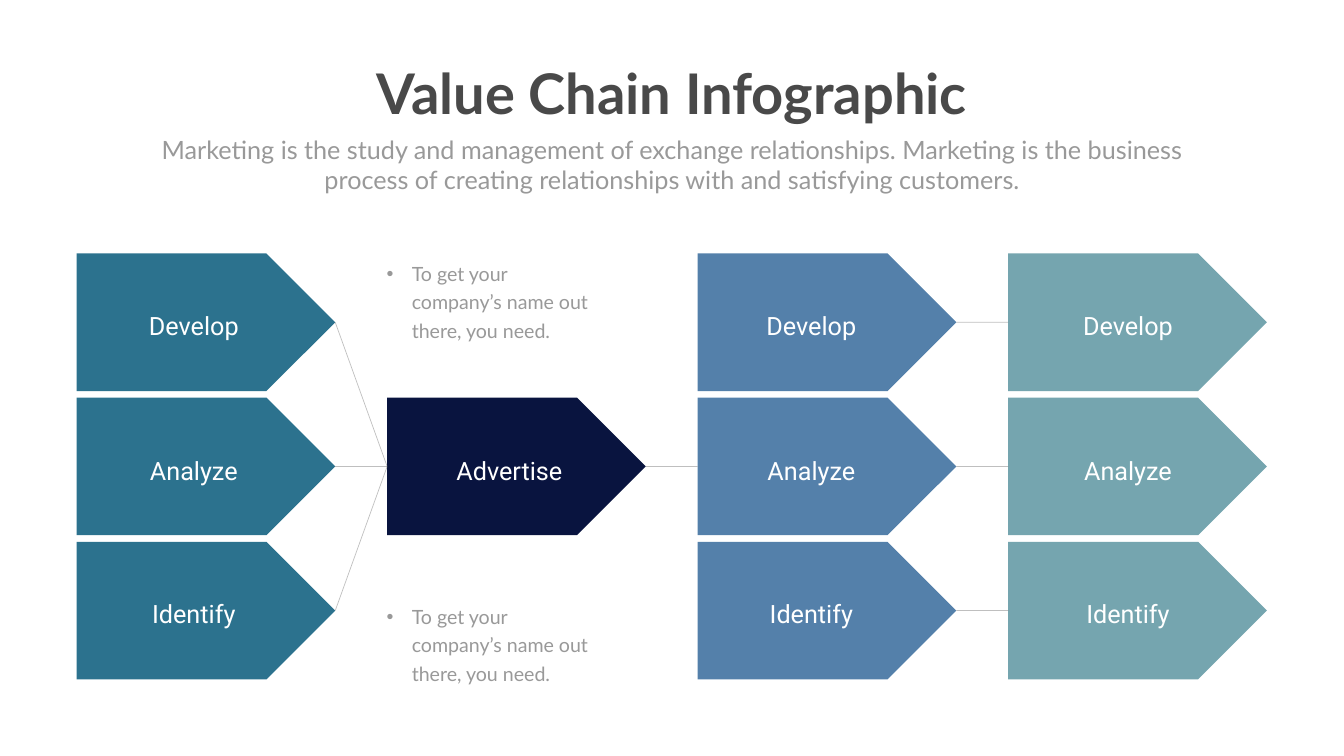
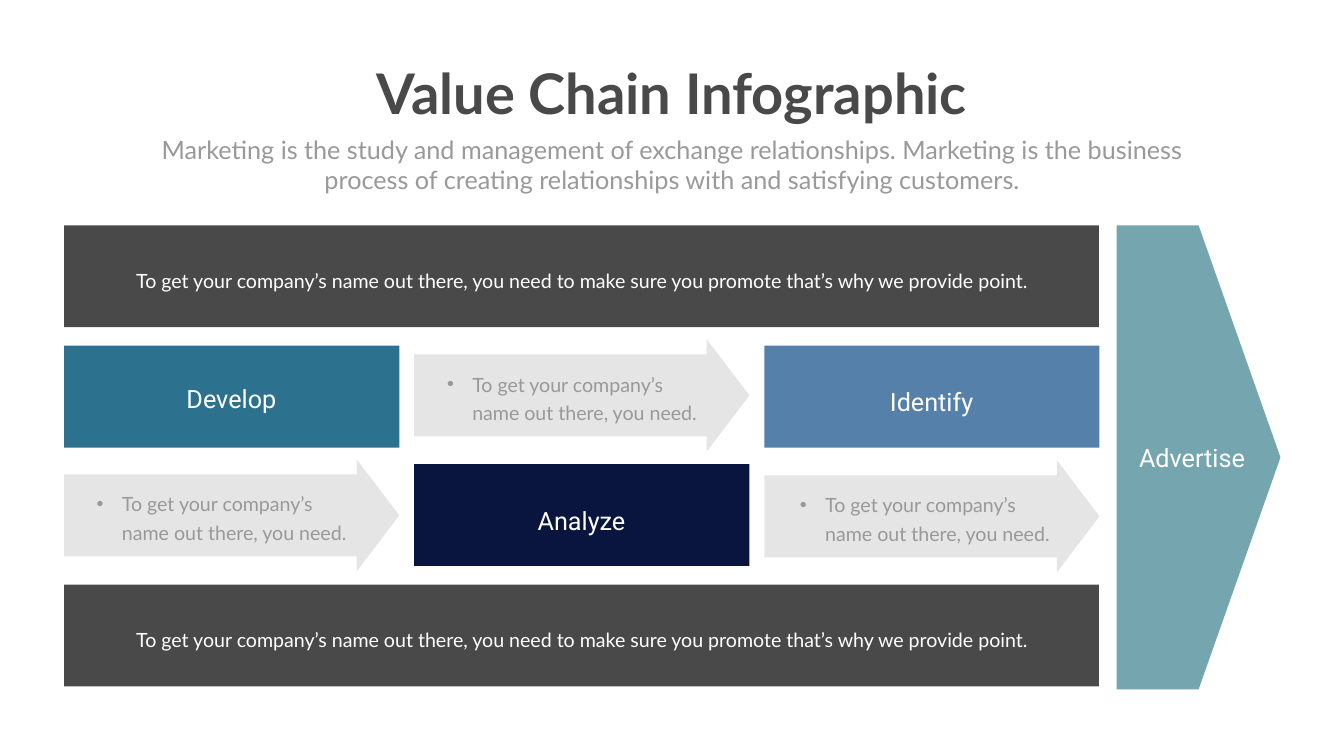
from lxml.etree import SubElement
from pptx import Presentation
from pptx.dml.color import RGBColor
from pptx.enum.shapes import MSO_CONNECTOR, MSO_SHAPE
from pptx.enum.text import MSO_ANCHOR, MSO_AUTO_SIZE, PP_ALIGN
from pptx.oxml.ns import qn
from pptx.util import Inches, Pt

TEAL, NAVY, BLUE, SAGE = "2C728E", "09143F", "5480AA", "75A5AF"
DARK, MUTED, NEUTRAL, WHITE = "494949", "999999", "808080", "FFFFFF"
HEADING = "Value Chain Infographic"
SUBTITLE = ("Marketing is the study and management of exchange relationships. "
            "Marketing is the business process of creating relationships "
            "with and satisfying customers.")
SHORT_NOTE = "To get your company’s name out there, you need."
LONG_NOTE = ("To get your company’s name out there, you need to make sure "
             "you promote that’s why we provide point.")
STAGES = ["Develop", "Analyze", "Identify"]
LEFT, RIGHT = 1, 3


def color(value):
    """Turn a hex string into a colour."""
    return RGBColor.from_string(value)


def set_alpha(properties, percent):
    """Make the solid fill inside the given properties translucent."""
    tint = next(properties.iter(qn("a:srgbClr")))
    SubElement(tint, qn("a:alpha"), val=str(percent * 1000))


def add_bullet(para):
    """Give a paragraph a round bullet with a hanging indent."""
    properties = para._p.get_or_add_pPr()
    properties.set("marL", str(Inches(0.5)))
    properties.set("indent", str(Inches(-0.5)))
    SubElement(properties, qn("a:buFont"), typeface="Arial")
    SubElement(properties, qn("a:buChar"), char="•")


def write(box, text, size=36, font="Lato", fill=WHITE, bold=False,
          spacing=None, bullet=False, wrap=True):
    """Write one formatted paragraph into a box."""
    frame = box.text_frame
    frame.word_wrap = wrap
    frame.auto_size = MSO_AUTO_SIZE.SHAPE_TO_FIT_TEXT
    frame.vertical_anchor = MSO_ANCHOR.TOP
    para = frame.paragraphs[0]
    para.alignment = PP_ALIGN.LEFT if bullet else PP_ALIGN.CENTER
    if spacing:
        para.line_spacing = Pt(spacing)
    if bullet:
        add_bullet(para)
    span = para.add_run()
    span.text = text
    span.font.size, span.font.name, span.font.bold = Pt(size), font, bold
    span.font.color.rgb = color(fill)


def add_text(page, text, left, top, width, height, **style):
    """Add a text box and write its text."""
    box = page.shapes.add_textbox(
        Inches(left), Inches(top), Inches(width), Inches(height))
    write(box, text, **style)


def add_label(page, text, left, top, width=2.67, height=0.71):
    """Add the white name of a stage."""
    add_text(page, text, left, top, width, height, font="Roboto")


def add_note(page, left, top, width, height):
    """Add a short bulleted note."""
    add_text(page, SHORT_NOTE, left, top, width, height,
             size=28, fill=MUTED, spacing=40.8, bullet=True)


def add_block(page, kind, left, top, width, height, fill):
    """Add a flat filled shape."""
    block = page.shapes.add_shape(
        kind, Inches(left), Inches(top), Inches(width), Inches(height))
    block.shadow.inherit = False
    block.fill.solid()
    block.fill.fore_color.rgb = color(fill)
    block.line.fill.background()
    return block


def add_stage(page, left, top, fill):
    """Add one pointed stage of the chain."""
    return add_block(page, MSO_SHAPE.PENTAGON, left, top, 5.13, 2.73, fill)


def join(page, source, target):
    """Link the tip of one stage to the left side of the next."""
    link = page.shapes.add_connector(MSO_CONNECTOR.STRAIGHT, 0, 0, 0, 0)
    link.begin_connect(source, RIGHT)
    link.end_connect(target, LEFT)
    link.line.width = Pt(1)
    link.line.color.rgb = color(NEUTRAL)
    set_alpha(link.line._ln, 50)
    SubElement(link._element.spPr, qn("a:effectLst"))


def add_arrow(page, left, top):
    """Add a pale arrow that carries a note."""
    arrow = add_block(page, MSO_SHAPE.RIGHT_ARROW, left, top, 6.65, 2.23, NEUTRAL)
    arrow.adjustments[0], arrow.adjustments[1] = 0.73, 0.38
    set_alpha(arrow._element.spPr, 20)


def add_page(deck):
    """Add a slide with the shared heading and subtitle."""
    page = deck.slides.add_slide(deck.slide_layouts[5])
    title = page.shapes.title
    title.left, title.top = Inches(7.21), Inches(1.12)
    title.width, title.height = Inches(12.24), Inches(1.45)
    write(title, HEADING, size=80, fill=DARK, bold=True, wrap=False)
    add_text(page, SUBTITLE, 2.92, 2.61, 20.82, 1.31, fill=MUTED)
    return page


def build_chain(deck):
    """Build the slide with three columns joined by one central stage."""
    page = add_page(deck)
    columns = [(1.52, 2.51, TEAL), (13.84, 14.76, BLUE), (20, 21.04, SAGE)]
    label_tops = [6.1, 8.98, 11.83]
    chain = []
    for left, label_left, fill in columns:
        chain.append([add_stage(page, left, 5.03 + 2.86 * row, fill)
                      for row in range(len(STAGES))])
        for name, top in zip(STAGES, label_tops):
            add_label(page, name, label_left, top)
    hub = add_stage(page, 7.68, 7.89, NAVY)
    add_label(page, "Advertise", 8.77, label_tops[1])
    first, second, third = chain
    for stage in first:
        join(page, stage, hub)
    join(page, hub, second[1])
    for source, target in zip(second, third):
        join(page, source, target)
    for top in (5.04, 11.85):
        add_note(page, 7.57, top, 4.4, 1.77)


def build_process(deck):
    """Build the slide with stages and arrows between two bands."""
    page = add_page(deck)
    for top in (4.47, 11.6):
        add_block(page, MSO_SHAPE.RECTANGLE, 1.27, top, 20.53, 2.02, DARK)
        add_text(page, LONG_NOTE, 2.23, top + 0.71, 18.62, 0.62,
                 size=28, spacing=40.8)
    lefts = [1.27 + 6.945 * column for column in range(3)]
    stage_rows = [(6.86, 7.56, TEAL), (9.21, 9.98, NAVY), (6.86, 7.62, BLUE)]
    for name, left, (top, label_top, fill) in zip(STAGES, lefts, stage_rows):
        add_block(page, MSO_SHAPE.RECTANGLE, left, top, 6.65, 2.02, fill)
        add_label(page, name, left + 2.08, label_top, 2.48, 0.63)
    arrow_rows = [(9.11, 1.82), (6.73, 8.77), (9.13, 15.77)]
    for left, (top, note_left) in zip(lefts, arrow_rows):
        add_arrow(page, left, top)
        add_note(page, note_left, top + 0.51, 5.22, 1.19)
    add_block(page, MSO_SHAPE.PENTAGON, 22.15, 4.47, 3.25, 9.21, SAGE)
    add_label(page, "Advertise", 21.77, 8.72, 3.75)


def main():
    """Build and save the deck."""
    deck = Presentation()
    deck.slide_width, deck.slide_height = Inches(26.66), Inches(15)
    build_chain(deck)
    build_process(deck)
    deck.save("out.pptx")


if __name__ == "__main__":
    main()
